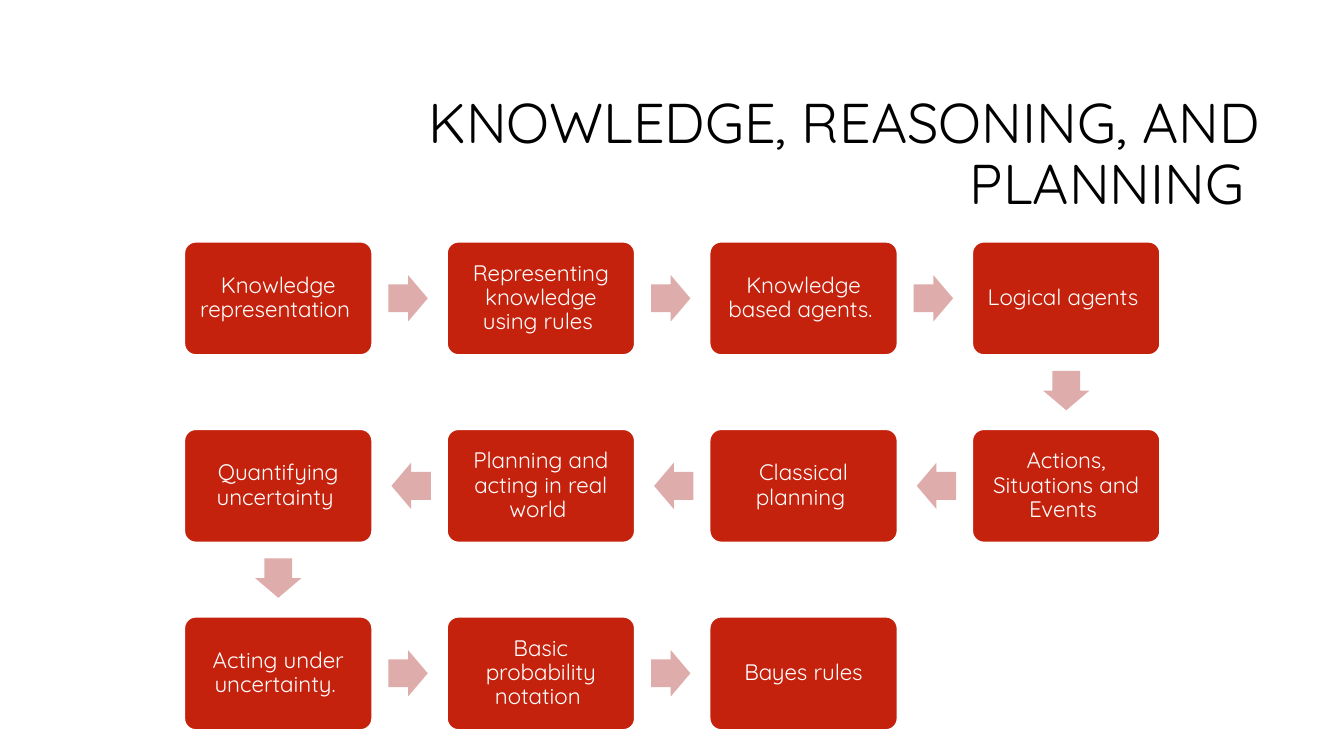
from pptx import Presentation
from pptx.dml.color import RGBColor
from pptx.enum.shapes import MSO_SHAPE as Shape
from pptx.enum.text import MSO_ANCHOR as Anchor, PP_ALIGN as Align
from pptx.util import Inches, Pt

COLORS = {"box": "C4220D", "arrow": "DEACAB", "white": "FFFFFF", "black": "000000"}
FONT = "Quicksand"

COLUMNS = 4
FIRST_X, FIRST_Y = 2.76, 2.96  # centre of the first step
PITCH_X, PITCH_Y = 2.605, 1.86
BOX_W, BOX_H = 1.86, 1.12
ARROW_W, ARROW_H = 0.39, 0.46
ARROW_SHIFT = 0.015  # arrows sit slightly nearer the step they leave

# Trailing spaces take part in the centring of each line
STEPS = [
    "Knowledge representation ",
    "Representing knowledge using rules ",
    "Knowledge based agents. ",
    "Logical agents ",
    "Actions, Situations and Events ",
    "Classical planning ",
    "Planning and acting in real world ",
    "Quantifying uncertainty ",
    "Acting under uncertainty. ",
    "Basic probability notation ",
    "Bayes rules",
]


def rgb(name):
    return RGBColor.from_string(COLORS[name])


def write(s, text, size, color, align, inset=(0.1, 0.05)):
    tf = s.text_frame
    tf.word_wrap = True
    tf.vertical_anchor = Anchor.MIDDLE
    tf.margin_left = tf.margin_right = Inches(inset[0])
    tf.margin_top = tf.margin_bottom = Inches(inset[1])
    p = tf.paragraphs[0]
    p.alignment = align
    p.line_spacing = 0.9
    r = p.add_run()
    r.text = text
    r.font.name = FONT
    r.font.size = Pt(size)
    r.font.color.rgb = rgb(color)


def add_centred(slide, kind, center, size, fill, adjustments):
    """Add a preset shape around its centre point, without line or shadow."""
    (x, y), (w, h) = center, size
    s = slide.shapes.add_shape(
        kind, Inches(x - w / 2), Inches(y - h / 2), Inches(w), Inches(h))
    for i, value in enumerate(adjustments):
        s.adjustments[i] = value
    s.shadow.inherit = False
    s.fill.solid()
    s.fill.fore_color.rgb = rgb(fill)
    s.line.fill.background()
    return s


def step_center(index):
    """Centre of a step on the grid, where every second row runs backwards."""
    row, col = divmod(index, COLUMNS)
    if row % 2:
        col = COLUMNS - 1 - col
    return FIRST_X + col * PITCH_X, FIRST_Y + row * PITCH_Y


def add_title(slide, text):
    s = slide.shapes.add_textbox(Inches(3.17), Inches(0.84), Inches(9.42), Inches(1.41))
    write(s, text, 40, "black", Align.RIGHT)


def add_step(slide, index, text):
    s = add_centred(slide, Shape.ROUNDED_RECTANGLE, step_center(index),
                    (BOX_W, BOX_H), "box", [0.1])
    s.line.color.rgb = rgb("white")
    s.line.width = Pt(1)
    write(s, text, 16, "white", Align.CENTER, inset=(0.07, 0.07))


def add_arrow(slide, index):
    """Point an arrow from a step to the next one."""
    (x1, y1), (x2, y2) = step_center(index), step_center(index + 1)
    if y2 > y1:
        angle, dx, dy = 90, 0, 1
    elif x2 > x1:
        angle, dx, dy = 0, 1, 0
    else:
        angle, dx, dy = 180, -1, 0
    center = ((x1 + x2) / 2 - dx * ARROW_SHIFT, (y1 + y2) / 2 - dy * ARROW_SHIFT)
    s = add_centred(slide, Shape.RIGHT_ARROW, center,
                    (ARROW_W, ARROW_H), "arrow", [0.6, 0.5])
    s.rotation = angle


def main():
    prs = Presentation()
    prs.slide_width, prs.slide_height = Inches(13.33), Inches(7.5)
    slide = prs.slides.add_slide(prs.slide_layouts[6])
    add_title(slide, "KNOWLEDGE, REASONING, AND PLANNING ")
    for index, text in enumerate(STEPS):
        add_step(slide, index, text)
        if index < len(STEPS) - 1:
            add_arrow(slide, index)
    prs.save("out.pptx")


if __name__ == "__main__":
    main()
